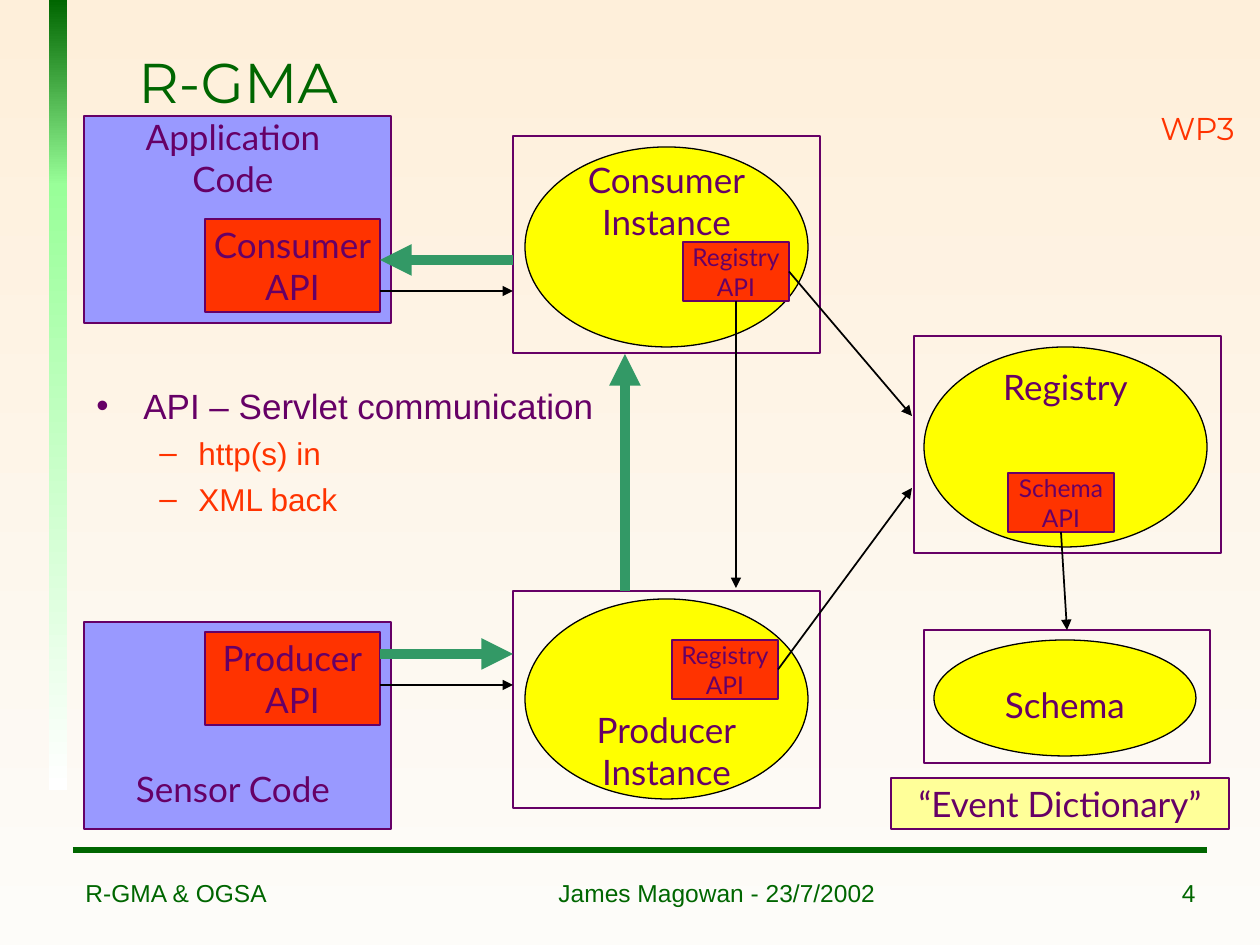
from lxml.etree import SubElement
from pptx import Presentation
from pptx.dml.color import RGBColor
from pptx.enum.shapes import MSO_CONNECTOR as LINE, MSO_SHAPE as SHAPE
from pptx.enum.text import MSO_ANCHOR as ANCHOR, PP_ALIGN as ALIGN
from pptx.oxml.ns import qn
from pptx.util import Pt

PX_PER_INCH = 126
GREEN = RGBColor(0x00, 0x66, 0x00)
LIGHT_GREEN = RGBColor(0x99, 0xFF, 0x99)
ARROW_GREEN = RGBColor(0x33, 0x99, 0x66)
WHITE = RGBColor(0xFF, 0xFF, 0xFF)
BLACK = RGBColor(0x00, 0x00, 0x00)
PURPLE = RGBColor(0x66, 0x00, 0x66)
RED = RGBColor(0xFF, 0x33, 0x00)
YELLOW = RGBColor(0xFF, 0xFF, 0x00)
PALE_YELLOW = RGBColor(0xFF, 0xFF, 0x99)
BLUE = RGBColor(0x99, 0x99, 0xFF)
PEACH = RGBColor(0xFE, 0xEF, 0xDA)
CREAM = RGBColor(0xFD, 0xFC, 0xF9)
RIGHT, BOTTOM, TOP = 3, 2, 0


def px(*lengths):
    """Turn lengths in px into EMU."""
    return [round(length * 914400 / PX_PER_INCH) for length in lengths]


def shade(fill, start, end):
    """Fill with a gradient running from top to bottom."""
    fill.gradient()
    fill.gradient_angle = 270
    for stop, colour, position in zip(fill.gradient_stops, (start, end), (0, 1)):
        stop.color.rgb = colour
        stop.position = position


def write(shape, text, size=20, font="Lato", colour=PURPLE, align=ALIGN.CENTER,
          anchor=ANCHOR.MIDDLE, wrap=False):
    """Write text into a shape, one paragraph a line."""
    frame = shape.text_frame
    frame.word_wrap = wrap
    frame.vertical_anchor = anchor
    for index, line in enumerate(text.split("\n")):
        paragraph = frame.add_paragraph() if index else frame.paragraphs[0]
        paragraph.alignment = align
        run = paragraph.add_run()
        run.text = line
        run.font.size = Pt(size)
        run.font.name = font
        run.font.color.rgb = colour
    return shape


def label(slide, box, text, **style):
    """Place text without a frame."""
    return write(slide.shapes.add_textbox(*px(*box)), text, **style)


def block(slide, box, fill=None, line=PURPLE, width=1, kind=SHAPE.RECTANGLE):
    """Place a plain shape, open where no fill is given."""
    shape = slide.shapes.add_shape(kind, *px(*box))
    shape.shadow.inherit = False
    if fill is None:
        shape.fill.background()
    else:
        shape.fill.solid()
        shape.fill.fore_color.rgb = fill
    if line is None:
        shape.line.fill.background()
    else:
        shape.line.color.rgb = line
        shape.line.width = Pt(width)
    return shape


def connect(slide, start, end, colour=BLACK, width=1, arrow=True, source=None, target=None):
    """Draw a line, joined to a (shape, side) pair at either end if given."""
    connector = slide.shapes.add_connector(LINE.STRAIGHT, *px(*start, *end))
    connector.line.color.rgb = colour
    connector.line.width = Pt(width)
    if arrow:
        SubElement(connector.line._get_or_add_ln(), qn("a:tailEnd"), type="triangle")
    SubElement(connector._element.spPr, qn("a:effectLst"))
    if source:
        connector.begin_connect(*source)
    if target:
        connector.end_connect(*target)


def bullet(paragraph, mark, colour, margin, hang, before):
    """Give a paragraph a hanging bullet and its space before."""
    properties = paragraph._p.get_or_add_pPr()
    indent, = px(hang)
    properties.set("marL", str(px(margin)[0]))
    properties.set("indent", str(-indent))
    SubElement(SubElement(properties, qn("a:buClr")), qn("a:srgbClr"), val=str(colour))
    SubElement(properties, qn("a:buFont"), typeface="Arial")
    SubElement(properties, qn("a:buChar"), char=mark)
    paragraph.space_before = Pt(before)


def theme(slide):
    """Draw the background, side bar, title, work package and footer."""
    shade(slide.background.fill, PEACH, CREAM)
    for top, height, start, end in ((0, 186, GREEN, LIGHT_GREEN), (184, 606, LIGHT_GREEN, WHITE)):
        shade(block(slide, (49, top, 18, height), line=None).fill, start, end)
    connect(slide, (73, 850), (1207, 850), colour=GREEN, width=3, arrow=False)
    label(slide, (126, 31, 840, 100), "R-GMA", size=32, font="Montserrat", colour=GREEN,
          align=ALIGN.LEFT, wrap=True)
    label(slide, (1148, 103, 116, 50), "WP3", size=18, font="Montserrat", colour=RED,
          align=ALIGN.LEFT, anchor=ANCHOR.TOP)
    for left, width, text, align in ((73, 462, "R-GMA & OGSA", ALIGN.LEFT),
                                     (546, 535, "James Magowan - 23/7/2002", ALIGN.LEFT),
                                     (1092, 116, "4", ALIGN.RIGHT)):
        label(slide, (left, 872, width, 63), text, size=14, font="Arial", colour=GREEN,
              align=align, anchor=ANCHOR.TOP, wrap=True)


def notes_list(slide, box):
    """Write the bulleted points on communication."""
    points = label(slide, box, "API – Servlet communication\nhttp(s) in\nXML back", size=18,
                   font="Arial", colour=RED, align=ALIGN.LEFT, anchor=ANCHOR.TOP, wrap=True)
    heading, *details = points.text_frame.paragraphs
    heading.runs[0].font.size = Pt(20)
    heading.runs[0].font.color.rgb = PURPLE
    bullet(heading, "•", PURPLE, 47, 47, 0)
    for detail in details:
        bullet(detail, "–", RED, 102, 39, 4.5)


def code_box(slide, left, top, caption, caption_top, api, api_top):
    """Draw a body of code with its caption and API."""
    block(slide, (left, top, 307, 207), BLUE)
    label(slide, (left + 16, top + caption_top, 266, 42), caption)
    write(block(slide, (left + 121, top + api_top, 175, 93), RED), api)


def servlet(slide, box, oval, name, name_top, api=None, api_at=(0, 0)):
    """Draw a framed oval with its name and API, returning frame and API."""
    left, top, width, height = box
    x, y, oval_width, oval_height = oval
    block(slide, (left + x, top + y, oval_width, oval_height), YELLOW, BLACK, 0.75, SHAPE.OVAL)
    frame = block(slide, box)
    name_height = 42 * len(name.split("\n"))
    label(slide, (left + x, top + name_top, oval_width, name_height), name)
    if api is None:
        return frame, None
    api_box = block(slide, (left + api_at[0], top + api_at[1], 106, 59), RED)
    return frame, write(api_box, api, size=14)


def architecture(slide):
    """Draw the code boxes, servlets and the arrows between them."""
    code_box(slide, 84, 116, "Application Code", 20, "Consumer\nAPI", 103)
    code_box(slide, 84, 622, "Sensor Code", 145, "Producer\nAPI", 10)
    _, consumer_api = servlet(slide, (513, 136, 307, 217), (12, 11, 283, 200),
                              "Consumer\nInstance", 22, "Registry\nAPI", (170, 106))
    _, producer_api = servlet(slide, (513, 591, 307, 217), (12, 8, 283, 200),
                              "Producer\nInstance", 117, "Registry\nAPI", (159, 49))
    _, schema_api = servlet(slide, (914, 336, 307, 217), (10, 11, 283, 200),
                            "Registry", 29, "Schema\nAPI", (94, 137))
    schema, _ = servlet(slide, (924, 630, 286, 133), (10, 10, 262, 116), "Schema", 53)
    write(block(slide, (891, 778, 338, 51), PALE_YELLOW), "“Event Dictionary”")

    for start, end in (((513, 260), (380, 260)), ((380, 654), (513, 654)),
                       ((625, 591), (625, 354))):
        connect(slide, start, end, colour=ARROW_GREEN, width=6)
    for y in (291, 685):
        connect(slide, (380, y), (513, y))
    connect(slide, (789, 272), (912, 416), source=(consumer_api, RIGHT))
    connect(slide, (736, 301), (736, 588), source=(consumer_api, BOTTOM))
    connect(slide, (778, 670), (912, 488), source=(producer_api, RIGHT))
    connect(slide, (1061, 532), (1067, 630), source=(schema_api, BOTTOM), target=(schema, TOP))


def main():
    """Build and save the slide."""
    deck = Presentation()
    deck.slide_width, deck.slide_height = px(1260, 945)
    slide = deck.slides.add_slide(deck.slide_layouts[6])
    theme(slide)
    notes_list(slide, (84, 378, 557, 194))
    architecture(slide)
    deck.save("out.pptx")


if __name__ == "__main__":
    main()
